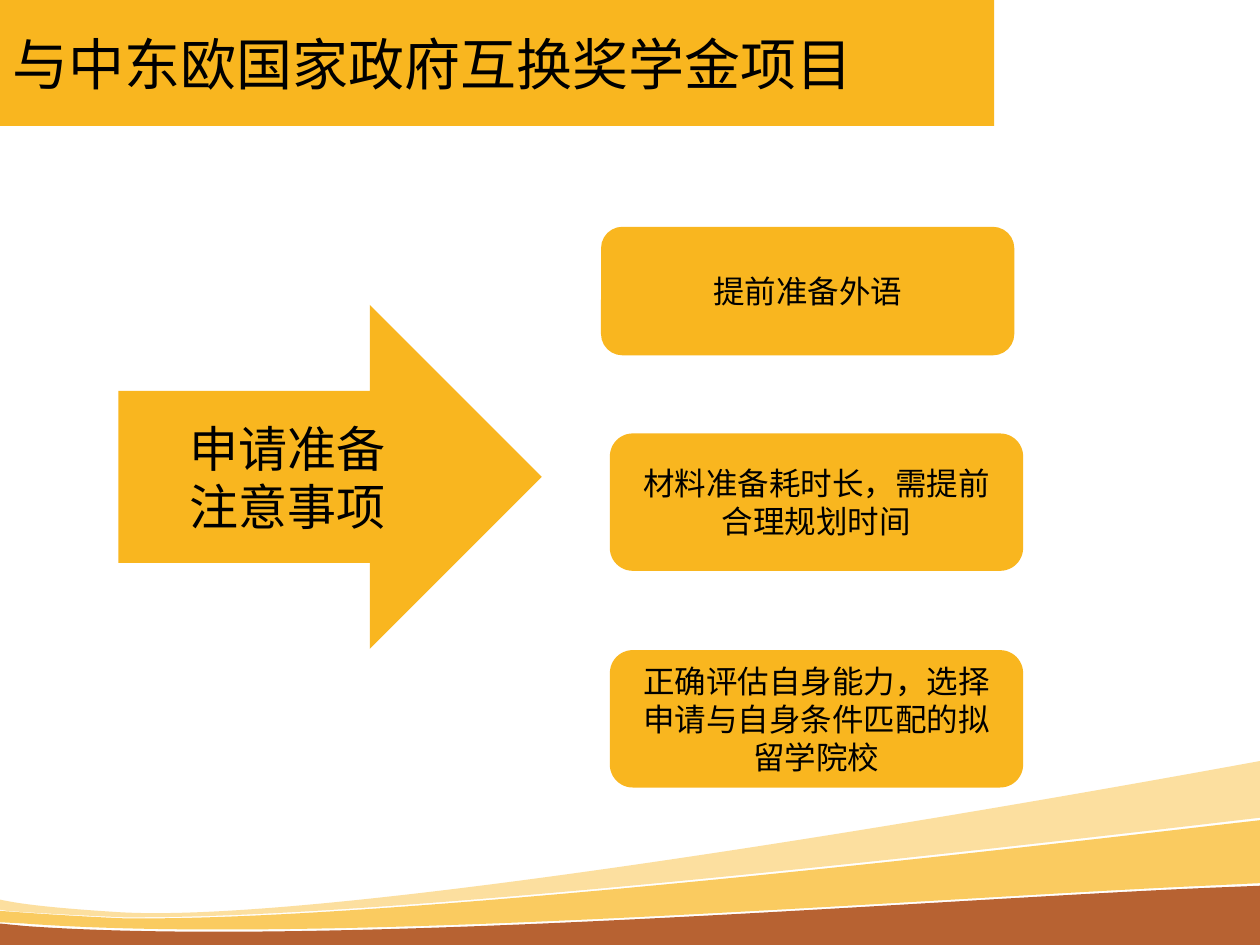
from dataclasses import dataclass
from typing import Any

from lxml.etree import SubElement
from pptx import Presentation
from pptx.dml.color import RGBColor
from pptx.enum.lang import MSO_LANGUAGE_ID
from pptx.enum.shapes import MSO_SHAPE
from pptx.enum.text import MSO_ANCHOR, MSO_AUTO_SIZE, PP_ALIGN
from pptx.oxml.ns import qn
from pptx.util import Inches, Pt

SLIDE_WIDTH, SLIDE_HEIGHT = Inches(10), Inches(7.5)
COLUMN, ROW = SLIDE_WIDTH / 10, SLIDE_HEIGHT / 7.5

AMBER = RGBColor(0xF9, 0xB6, 0x1F)
PALE_AMBER = RGBColor(0xFB, 0xD3, 0x79)
BROWN = RGBColor(0xB7, 0x62, 0x32)
BLACK = RGBColor(0, 0, 0)

FRAME_FORMAT = {
    "word_wrap": True,
    "auto_size": MSO_AUTO_SIZE.NONE,
    "vertical_anchor": MSO_ANCHOR.MIDDLE,
}


@dataclass(frozen=True)
class Block:
    left: float
    top: float
    width: float
    height: float
    lines: tuple[str, ...]
    size: int
    outline: MSO_SHAPE = MSO_SHAPE.ROUNDED_RECTANGLE
    font: str = "Arial"
    alignment: PP_ALIGN = PP_ALIGN.CENTER


@dataclass(frozen=True)
class Wave:
    color: RGBColor
    opacity: int
    height: float
    start: tuple[float, float]
    segments: tuple[tuple[float, ...], ...]


HEADING = Block(0, 0, 7.89, 1, ("与中东欧国家政府互换奖学金项目",), 32,
                font="Noto Sans CJK SC", alignment=PP_ALIGN.LEFT)

BLOCKS = (
    Block(0.94, 2.42, 3.36, 2.73, ("申请准备", "注意事项"), 28, MSO_SHAPE.RIGHT_ARROW),
    Block(4.77, 1.8, 3.28, 1.02, ("提前准备外语",), 18),
    Block(4.84, 3.44, 3.28, 1.09, ("材料准备耗时长，需提前合理规划时间",), 18),
    Block(4.84, 5.16, 3.28, 1.09,
          ("正确评估自身能力，选择申请与自身条件匹配的拟留学院校",), 18),
)

WAVES = (
    Wave(AMBER, 71, 0.86, (10, 6.51), (
        (10, 7.01), (9.58, 7.03), (7.32, 7.13, 2.61, 7.51, 0.19, 7.33),
        (0, 7.32), (0, 7.23), (0.14, 7.24), (0.41, 7.26, 0.76, 7.28, 1, 7.29),
        (1.51, 7.29, 3.15, 7.31, 9.65, 6.55))),
    Wave(PALE_AMBER, 71, 1.24, (10, 6.04), (
        (10, 6.49), (3.16, 7.3, 1.49, 7.28, 0.98, 7.28),
        (0.72, 7.27, 0.33, 7.25, 0.06, 7.23), (0, 7.22), (0, 7.14), (0.05, 7.15),
        (0.2, 7.18, 0.47, 7.21, 0.95, 7.24), (2.5, 7.33, 7.11, 6.57, 10, 6.04))),
    Wave(BROWN, 100, 0.47, (10, 7.03), (
        (10, 7.5), (0, 7.5), (0, 7.33), (0.2, 7.35),
        (2.69, 7.53, 7.63, 7.12, 9.76, 7.04))),
)


def paint(shape: Any, color: RGBColor) -> None:
    shape.fill.solid()
    shape.fill.fore_color.rgb = color
    shape.line.fill.background()


def bend(band: Any, wave: Wave) -> None:
    outline = next(band._element.iter(qn("a:path")))
    steps = iter(outline.findall(qn("a:lnTo")))
    for segment in wave.segments:
        step = next(steps)
        if len(segment) == 6:
            step.tag = qn("a:cubicBezTo")
            for _ in range(2):
                control = next(steps)
                step.append(control[0])
                outline.remove(control)
    band.height = round(wave.height * ROW)
    outline.set("h", str(band.height))


def draw_wave(slide: Any, wave: Wave) -> None:
    builder = slide.shapes.build_freeform(wave.start[0] * COLUMN, wave.start[1] * ROW)
    corners = [(x * COLUMN, y * ROW) for segment in wave.segments
               for x, y in zip(segment[0::2], segment[1::2])]
    builder.add_line_segments(corners, close=False)
    band = builder.convert_to_shape()
    bend(band, wave)
    SubElement(next(band._element.iter(qn("a:path"))), qn("a:close"))
    paint(band, wave.color)
    band.shadow.inherit = False
    if wave.opacity < 100:
        tint = band.fill._xPr.find(qn("a:solidFill"))[0]
        SubElement(tint, qn("a:alpha")).set("val", str(wave.opacity * 1000))


def write_lines(shape: Any, block: Block) -> None:
    frame = shape.text_frame
    for name, value in FRAME_FORMAT.items():
        setattr(frame, name, value)
    frame.text = "\n".join(block.lines)
    font_format = {
        "name": block.font,
        "size": Pt(block.size),
        "language_id": MSO_LANGUAGE_ID.SIMPLIFIED_CHINESE,
    }
    for paragraph in frame.paragraphs:
        paragraph.alignment = block.alignment
        for run in paragraph.runs:
            for name, value in font_format.items():
                setattr(run.font, name, value)
            run.font.color.rgb = BLACK


def draw_heading(slide: Any, block: Block) -> None:
    heading = slide.shapes.title
    slide.shapes._spTree.append(heading._element)
    place = {
        "left": round(block.left * COLUMN),
        "top": round(block.top * ROW),
        "width": round(block.width * COLUMN),
        "height": round(block.height * ROW),
    }
    for name, value in place.items():
        setattr(heading, name, value)
    paint(heading, AMBER)
    write_lines(heading, block)


def draw_block(slide: Any, block: Block) -> None:
    shape = slide.shapes.add_shape(
        block.outline, round(block.left * COLUMN), round(block.top * ROW),
        round(block.width * COLUMN), round(block.height * ROW))
    shape.shadow.inherit = False
    paint(shape, AMBER)
    write_lines(shape, block)


def main() -> None:
    deck = Presentation()
    deck.slide_width, deck.slide_height = SLIDE_WIDTH, SLIDE_HEIGHT
    slide = deck.slides.add_slide(deck.slide_layouts[5])
    for wave in WAVES:
        draw_wave(slide, wave)
    draw_heading(slide, HEADING)
    for block in BLOCKS:
        draw_block(slide, block)
    deck.save("out.pptx")


if __name__ == "__main__":
    main()
